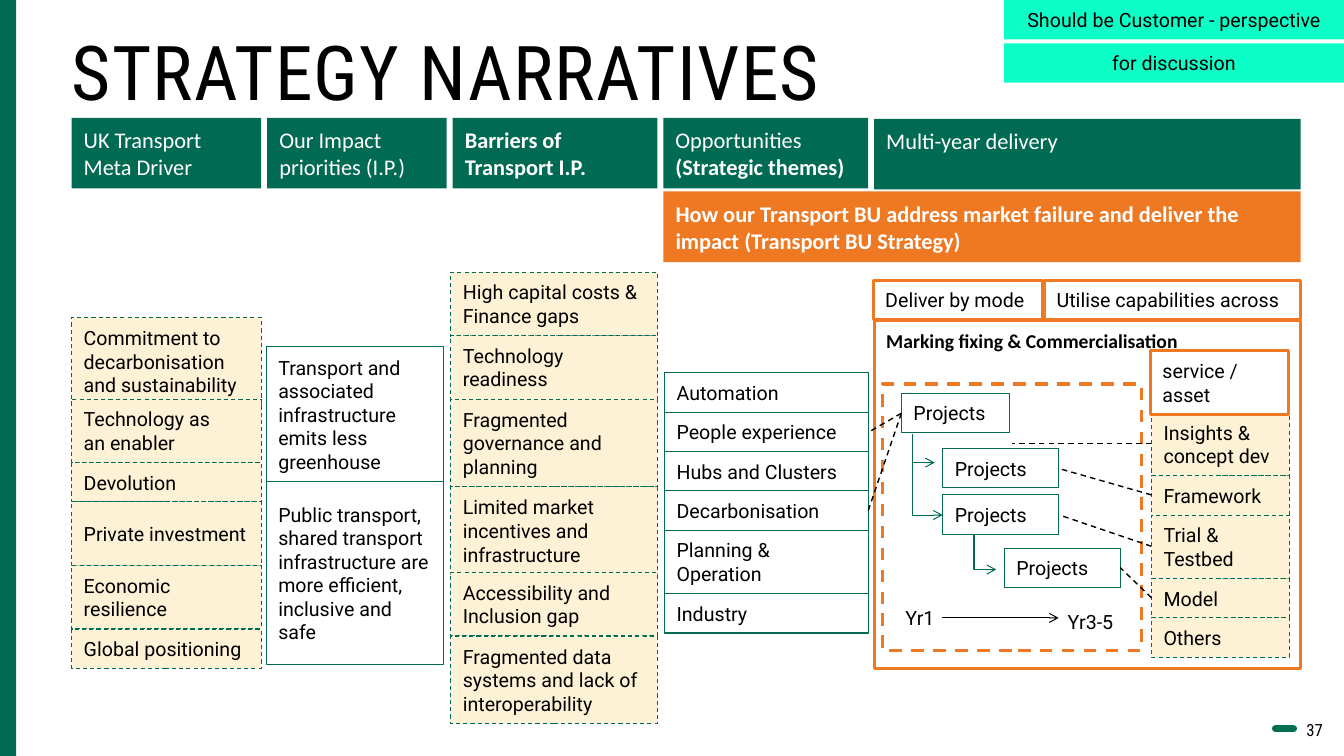
from lxml import etree
from pptx import Presentation
from pptx.dml.color import RGBColor
from pptx.enum.dml import MSO_LINE
from pptx.enum.shapes import MSO_CONNECTOR, MSO_SHAPE
from pptx.enum.text import MSO_ANCHOR, PP_ALIGN
from pptx.oxml.ns import qn
from pptx.util import Inches, Pt

GREEN = RGBColor(0x00, 0x6A, 0x52)
PAGE_GREEN = RGBColor(0x00, 0x6E, 0x51)
ORANGE = RGBColor(0xEF, 0x79, 0x23)
CREAM = RGBColor(0xFE, 0xF2, 0xD6)
MINT = RGBColor(0x0D, 0xFF, 0xC8)
WHITE = RGBColor(0xFF, 0xFF, 0xFF)
BLACK = RGBColor(0x00, 0x00, 0x00)

RECT = MSO_SHAPE.RECTANGLE
STRAIGHT, ELBOW = MSO_CONNECTOR.STRAIGHT, MSO_CONNECTOR.ELBOW
DASH = MSO_LINE.DASH
TOP, MIDDLE = MSO_ANCHOR.TOP, MSO_ANCHOR.MIDDLE
LEFT, CENTER, RIGHT = PP_ALIGN.LEFT, PP_ALIGN.CENTER, PP_ALIGN.RIGHT

BODY = {"name": "Roboto", "size": Pt(14), "bold": False}
HEADER = {"name": "Calibri", "size": Pt(16), "bold": False}
HEADER_BOLD = {**HEADER, "bold": True}
PANEL_TITLE = {"name": "Calibri", "size": Pt(14), "bold": True}
TITLE = {"name": "Roboto Condensed", "size": Pt(54)}
PAGE_NUMBER = {"name": "Roboto Condensed", "size": Pt(12)}

ONE, TWO, THREE = 0.39, 0.63, 0.87  # box heights by number of text lines

# left, top, width, fill, dashed, rows of (text, height)
STACKS = [
    (0.71, 3.15, 1.88, CREAM, True,
     [("Commitment to decarbonisation and sustainability", THREE)]),
    (0.71, 3.96, 1.88, CREAM, True,
     [("Technology as\nan enabler", TWO), ("Devolution", ONE),
      ("Private investment", TWO), ("Economic resilience", TWO),
      ("Global positioning", ONE)]),
    (2.64, 3.44, 1.76, WHITE, False,
     [("Transport and associated infrastructure emits less greenhouse", 1.34),
      ("Public transport, shared transport infrastructure are more efficient, "
       "inclusive and safe", 1.81)]),
    (4.47, 2.7, 2.05, CREAM, True,
     [("High capital costs & Finance gaps", TWO), ("Technology readiness", TWO),
      ("Fragmented governance and planning", THREE),
      ("Limited market incentives and infrastructure", THREE)]),
    (4.47, 5.68, 2.05, CREAM, True,
     [("Accessibility and Inclusion gap", TWO),
      ("Fragmented data systems and lack of interoperability", THREE)]),
    (6.59, 3.7, 2.02, WHITE, False,
     [("Automation", ONE), ("People experience", ONE), ("Hubs and Clusters", ONE),
      ("Decarbonisation", ONE), ("Planning & Operation", TWO), ("Industry", ONE)]),
    (11.42, 4.09, 1.37, CREAM, True,
     [("Insights & concept dev", TWO), ("Framework", ONE), ("Trial & Testbed", TWO),
      ("Model", ONE), ("Others", ONE)]),
]
HEADERS = [
    (0.71, 1.17, 1.88, [("UK Transport Meta Driver", HEADER)], MIDDLE),
    (2.65, 1.17, 1.78, [("Our Impact priorities (I.P.)", HEADER)], MIDDLE),
    (4.49, 1.17, 2.03, [("Barriers of Transport I.P.", HEADER_BOLD)], MIDDLE),
    (6.58, 1.17, 2.03, [("Opportunities\n", HEADER),
                        ("(Strategic themes)", HEADER_BOLD)], MIDDLE),
    (8.67, 1.18, 4.23, [("Multi-year delivery", HEADER)], TOP),
]
BANNER = ("How our Transport BU address market failure and deliver the impact "
          "(Transport BU Strategy)")
PROJECTS = [(8.94, 3.9, 1.07), (9.35, 4.45, 1.15), (9.35, 4.91, 1.15), (9.96, 5.44, 1.15)]
PROJECT_ELBOWS = [(9.05, 4.33, 9.27, 4.59), (9.05, 4.31, 9.35, 5.11),
                  (9.66, 5.3, 9.88, 5.65)]
DASHED_LINKS = [
    (11.42, 4.4, 10.04, 4.4), (11.42, 4.91, 10.51, 4.65),
    (11.42, 5.42, 10.51, 5.11), (11.42, 5.93, 11.11, 5.63),
    (8.94, 4.1, 8.61, 5.07), (8.94, 4.1, 8.61, 4.29),
]


def add_runs(p, runs, color):
    """Add (text, format) runs, turning each newline into a line break."""
    for text, fmt in runs:
        for i, part in enumerate(text.split("\n")):
            if i:
                p.add_line_break()
            if part:
                r = p.add_run()
                r.text = part
                r.font.color.rgb = color
                for key, value in fmt.items():
                    setattr(r.font, key, value)


def add_box(s, x, y, w, h, fill=None, line=None, weight=0.75, dashed=False):
    sp = s.shapes.add_shape(RECT, Inches(x), Inches(y), Inches(w), Inches(h))
    sp.shadow.inherit = False
    if fill is None:
        sp.fill.background()
    else:
        sp.fill.solid()
        sp.fill.fore_color.rgb = fill
    if line is None:
        sp.line.fill.background()
    else:
        sp.line.color.rgb = line
        sp.line.width = Pt(weight)
        if dashed:
            sp.line.dash_style = DASH
    return sp


def write(sp, runs, color=BLACK, anchor=MIDDLE, align=LEFT, margins=(0.12, 0.08), after=8):
    tf = sp.text_frame
    tf.word_wrap = True
    tf.vertical_anchor = anchor
    tf.margin_left = tf.margin_right = Inches(margins[0])
    tf.margin_top = tf.margin_bottom = Inches(margins[1])
    p = tf.paragraphs[0]
    p.alignment = align
    p.space_after = Pt(after)
    add_runs(p, runs, color)
    return p


def add_text(s, x, y, w, h, runs, **layout):
    sp = s.shapes.add_textbox(Inches(x), Inches(y), Inches(w), Inches(h))
    return write(sp, runs, after=0, **layout)


def add_stack(s, x, y, w, fill, dashed, rows):
    for text, h in rows:
        write(add_box(s, x, y, w, h, fill, GREEN, dashed=dashed), [(text, BODY)])
        y += h


def add_line(s, x1, y1, x2, y2, color, weight, dashed=False, arrow=False, kind=STRAIGHT):
    c = s.shapes.add_connector(kind, Inches(x1), Inches(y1), Inches(x2), Inches(y2))
    c.line.color.rgb = color
    c.line.width = Pt(weight)
    if dashed:
        c.line.dash_style = DASH
    if arrow:
        etree.SubElement(c.line._get_or_add_ln(), qn("a:tailEnd"), type="arrow")
    etree.SubElement(c.element.spPr, qn("a:effectLst"))
    return c


def add_elbow(s, x1, y1, x2, y2):
    """Draw an arrow that goes down and then right, as a turned and flipped bend."""
    cx, cy, dx, dy = (x1 + x2) / 2, (y1 + y2) / 2, (x2 - x1) / 2, (y2 - y1) / 2
    c = add_line(s, cx - dy, cy - dx, cx + dy, cy + dx, GREEN, 0.75, arrow=True, kind=ELBOW)
    spPr = c.element.spPr
    spPr.find(qn("a:prstGeom")).set("prst", "bentConnector2")
    xfrm = spPr.find(qn("a:xfrm"))
    xfrm.set("rot", "16200000")
    xfrm.set("flipH", "1")


def add_frame(s):
    add_box(s, 0, 0, 0.16, 7.5, GREEN)
    add_text(s, 12.44, 7.09, 0.78, 0.3, [("37", PAGE_NUMBER)], align=RIGHT,
             anchor=TOP, margins=(0.1, 0.05))
    dash = add_line(s, 12.83, 7.23, 12.65, 7.23, PAGE_GREEN, 5)
    dash.line._get_or_add_ln().set("cap", "rnd")
    p = add_text(s, 0.71, 0.39, 11.82, 0.77, [("STRATEGY NARRATIVES", TITLE)],
                 anchor=TOP, margins=(0, 0))
    p.line_spacing = 0.85
    p.runs[0].font._element.set("spc", "100")
    for y, text in [(0, "Should be Customer - perspective"), (0.43, "for discussion")]:
        write(add_box(s, 9.96, y, 3.37, ONE, MINT), [(text, BODY)], align=CENTER,
              margins=(0.1, 0.05), after=0)


def add_headers(s):
    for x, y, w, runs, anchor in HEADERS:
        write(add_box(s, x, y, w, 0.7, GREEN), runs, WHITE, anchor)
    write(add_box(s, 6.58, 1.9, 6.32, 0.7, ORANGE), [(BANNER, HEADER_BOLD)], WHITE)


def add_delivery_panel(s):
    write(add_box(s, 8.67, 3.18, 4.23, 3.45, WHITE, ORANGE, 2.25),
          [("Marking fixing & Commercialisation", PANEL_TITLE)], anchor=TOP)
    for x, y, w in PROJECTS:
        write(add_box(s, x, y, w, ONE, WHITE, GREEN), [("Projects", BODY)])
    for ends in PROJECT_ELBOWS:
        add_elbow(s, *ends)
    for x, y, w, year in [(8.86, 5.93, 0.54, "Yr1"), (10.47, 5.97, 1.23, "Yr3-5")]:
        write(add_box(s, x, y, w, ONE, WHITE), [(year, BODY)])
    add_line(s, 9.34, 6.13, 10.5, 6.13, BLACK, 0.75, arrow=True)
    add_box(s, 8.75, 3.81, 2.57, 2.64, None, ORANGE, 2.25, dashed=True)


def main():
    prs = Presentation()
    prs.slide_width, prs.slide_height = Inches(13.33), Inches(7.5)
    s = prs.slides.add_slide(prs.slide_layouts[6])
    add_frame(s)
    add_headers(s)
    add_delivery_panel(s)
    for stack in STACKS:
        add_stack(s, *stack)
    for ends in DASHED_LINKS:
        add_line(s, *ends, BLACK, 1, dashed=True)
    for x, y, w, h, text in [(8.66, 2.78, 1.68, ONE, "Deliver by mode"),
                             (10.36, 2.78, 2.54, ONE, "Utilise capabilities across"),
                             (11.41, 3.48, 1.37, TWO, "service / asset")]:
        write(add_box(s, x, y, w, h, WHITE, ORANGE, 2.25), [(text, BODY)])
    prs.save("out.pptx")


if __name__ == "__main__":
    main()
